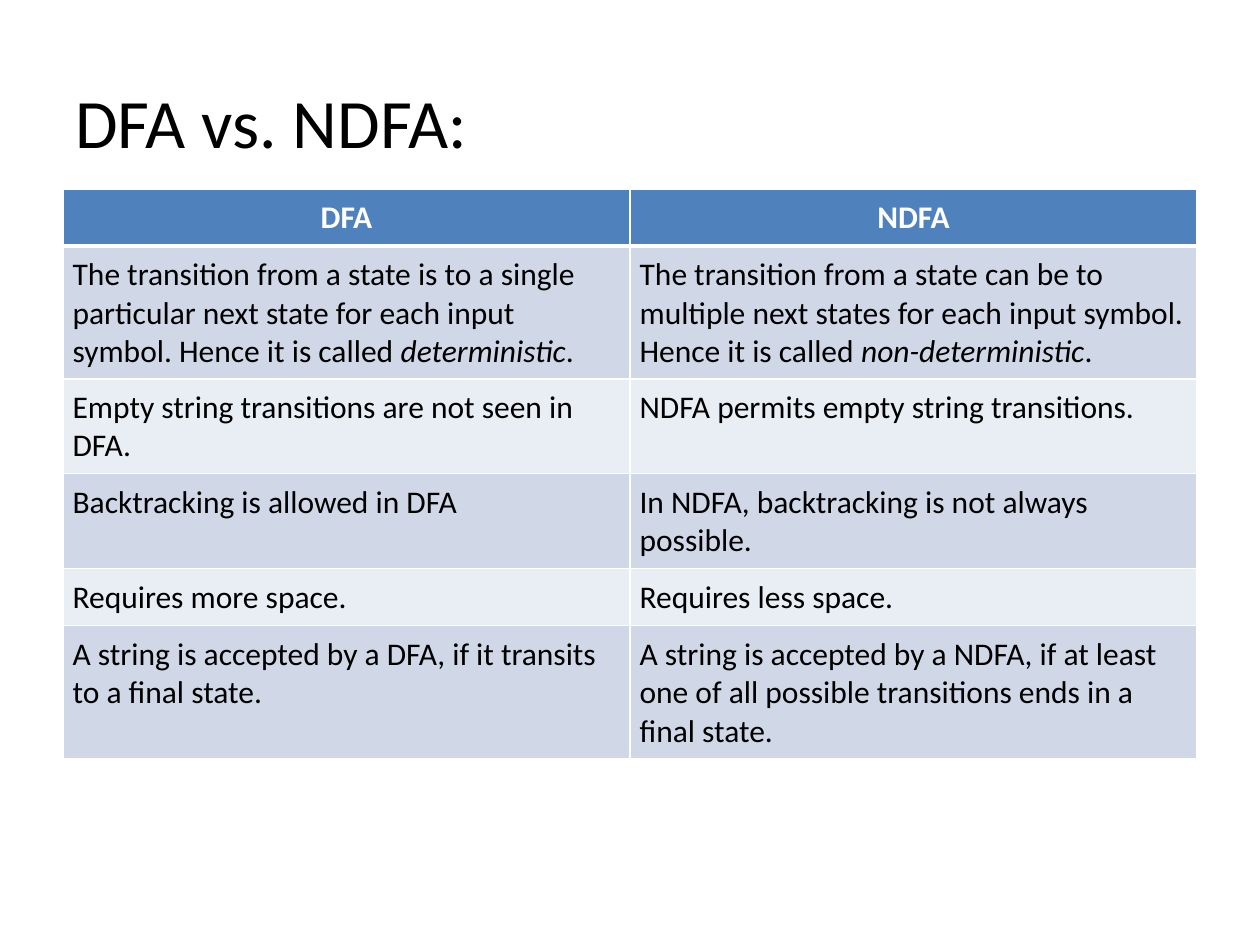
import pptx
import pptx.util
import pptx.dml.color
import pptx.enum.text
import pptx.oxml
import pptx.oxml.ns
from lxml import etree

Pt = pptx.util.Pt
RGBColor = pptx.dml.color.RGBColor

FONT = "Calibri"
BLACK = RGBColor(0x00, 0x00, 0x00)
WHITE = RGBColor(0xFF, 0xFF, 0xFF)
HEADER_BLUE = RGBColor(0x4F, 0x81, 0xBD)
BAND_DARK = RGBColor(0xD0, 0xD8, 0xE8)
BAND_LIGHT = RGBColor(0xE9, 0xED, 0xF4)

TITLE = "DFA vs. NDFA:"
HEADERS = ("DFA", "NDFA")
COMPARISONS = [
    (
        ("The transition from a state is to a single particular next state "
         "for each input symbol. Hence it is called ", "deterministic", "."),
        ("The transition from a state can be to multiple next states "
         "for each input symbol. Hence it is called ", "non-deterministic", "."),
    ),
    (("Empty string transitions are not seen in DFA.",),
     ("NDFA permits empty string transitions.",)),
    (("Backtracking is allowed in DFA",),
     ("In NDFA, backtracking is not always possible.",)),
    (("Requires more space.",), ("Requires less space.",)),
    (("A string is accepted by a DFA, if it transits to a final state.",),
     ("A string is accepted by a NDFA, if at least one of all possible "
      "transitions ends in a final state.",)),
]

LEFT, WIDTH = 36, 648
TITLE_TOP, TITLE_HEIGHT = 24, 90
TABLE_TOP = 108
HEADER_HEIGHT = 32
ROW_HEIGHTS = [HEADER_HEIGHT, 73, 52, 52, 32, 73]
CELL_MARGIN = 5.5


def set_borders(cell, bottom_width, top_width):
    properties = cell._tc.get_or_add_tcPr()
    widths = {"lnL": 1, "lnR": 1, "lnT": top_width, "lnB": bottom_width}
    for position, (side, width) in enumerate(widths.items()):
        line = etree.Element(pptx.oxml.ns.qn(f"a:{side}"), w=str(Pt(width)))
        fill = etree.SubElement(line, pptx.oxml.ns.qn("a:solidFill"))
        etree.SubElement(fill, pptx.oxml.ns.qn("a:srgbClr"), val=str(WHITE))
        properties.insert(position, line)


def fill_cell(cell, parts, row):
    is_header = row == 0
    cell.margin_left = cell.margin_right = Pt(CELL_MARGIN)
    cell.margin_top = cell.margin_bottom = Pt(CELL_MARGIN)
    cell.fill.solid()
    band = BAND_DARK if row % 2 else BAND_LIGHT
    cell.fill.fore_color.rgb = HEADER_BLUE if is_header else band
    set_borders(cell, 3 if is_header else 1, 3 if row == 1 else 1)
    paragraph = cell.text_frame.paragraphs[0]
    for index, text in enumerate(parts):
        run = paragraph.add_run()
        run.text = text
        if index == 1:
            run.font.italic = True
    paragraph.font.name = FONT
    paragraph.font.size = Pt(18)
    paragraph.font.bold = is_header
    paragraph.font.color.rgb = WHITE if is_header else BLACK
    if is_header:
        paragraph.alignment = pptx.enum.text.PP_ALIGN.CENTER


def add_title(slide):
    shape = slide.shapes.add_textbox(Pt(LEFT), Pt(TITLE_TOP), Pt(WIDTH), Pt(TITLE_HEIGHT))
    frame = shape.text_frame
    frame.word_wrap = True
    frame.vertical_anchor = pptx.enum.text.MSO_ANCHOR.MIDDLE
    paragraph = frame.paragraphs[0]
    paragraph.text = TITLE
    paragraph.font.name = FONT
    paragraph.font.size = Pt(39.6)
    paragraph.font.color.rgb = BLACK


def add_comparison_table(slide):
    rows = [tuple((header,) for header in HEADERS)] + COMPARISONS
    table = slide.shapes.add_table(
        len(rows), len(HEADERS), Pt(LEFT), Pt(TABLE_TOP), Pt(WIDTH), Pt(sum(ROW_HEIGHTS))
    ).table
    for column in table.columns:
        column.width = Pt(WIDTH / len(HEADERS))
    for row, (height, cells) in enumerate(zip(ROW_HEIGHTS, rows)):
        table.rows[row].height = Pt(height)
        for column, parts in enumerate(cells):
            fill_cell(table.cell(row, column), parts, row)


def main():
    presentation = pptx.Presentation()
    presentation.slide_width = Pt(720)
    presentation.slide_height = Pt(540)
    slide = presentation.slides.add_slide(presentation.slide_layouts[6])
    add_title(slide)
    add_comparison_table(slide)
    presentation.save("out.pptx")


if __name__ == "__main__":
    main()
